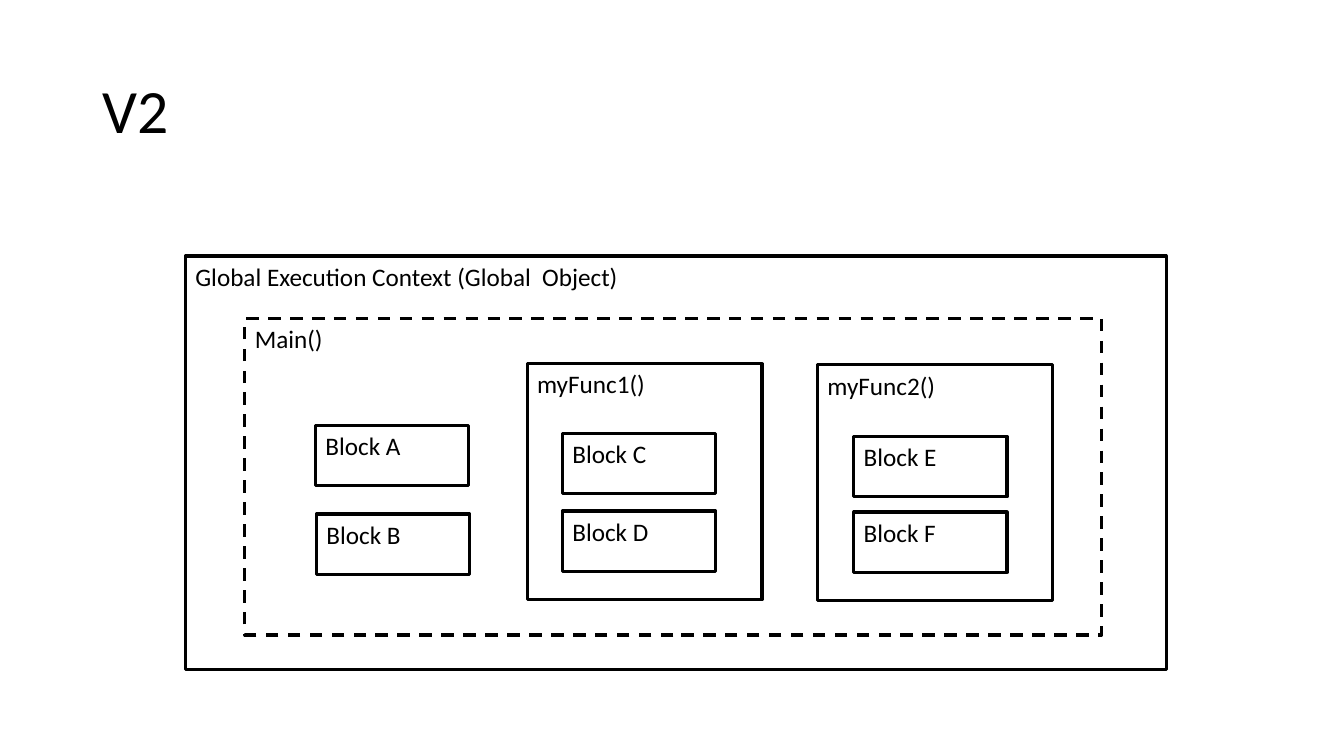
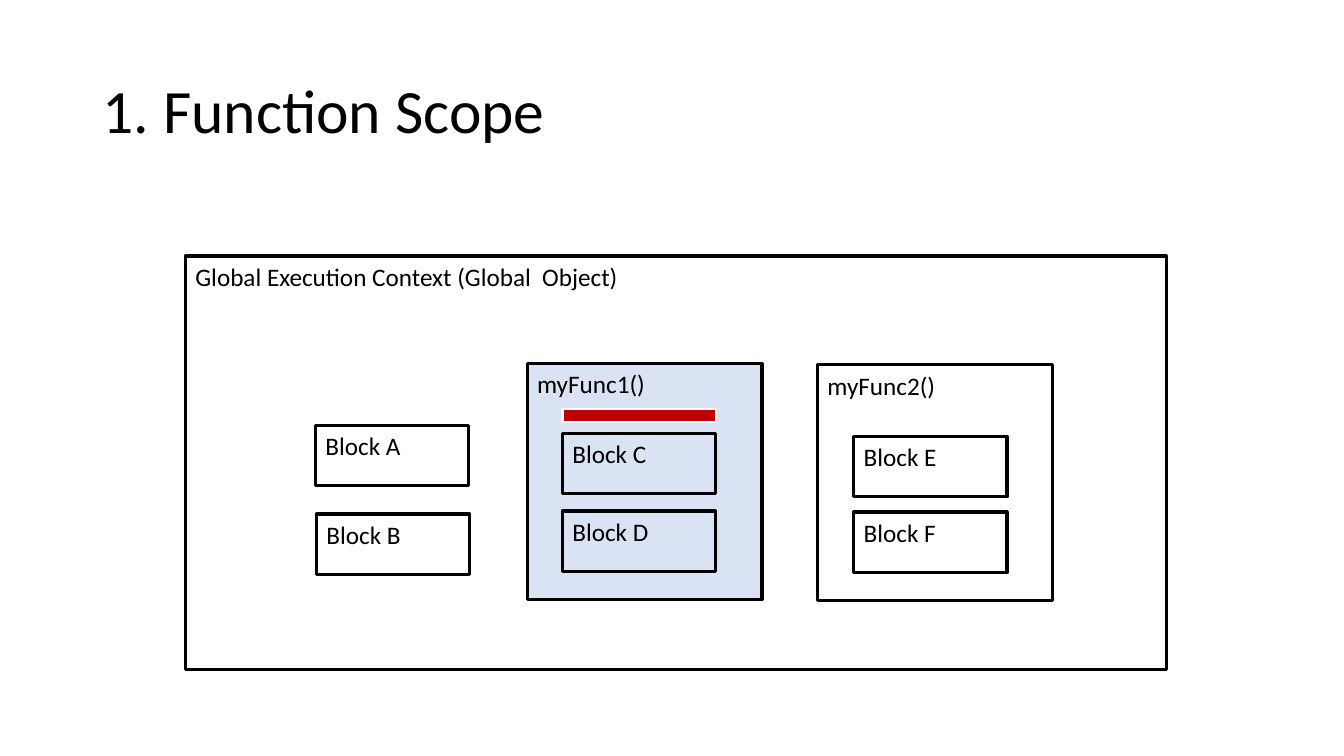
import pptx
import pptx.util
import pptx.dml.color
import pptx.enum.dml
import pptx.enum.shapes
import pptx.enum.text

Pt = pptx.util.Pt
COLORS = {"ink": "000000", "paper": "FFFFFF", "highlight": "DAE3F3", "marker": "C00000"}
BLOCK_SIZE = (109.44, 43.2)
FUNCTION_SIZE = (167.76, 168.48)


def color(name):
    return pptx.dml.color.RGBColor.from_string(COLORS[name])


class ScopeDeck:
    """Shared style and the slide being drawn."""

    font = "Calibri"

    def __init__(self):
        self.deck = pptx.Presentation()
        self.deck.slide_width, self.deck.slide_height = Pt(960), Pt(540)
        self.page = None

    def new_page(self):
        self.page = self.deck.slides.add_slide(self.deck.slide_layouts[6])

    def add_text(self, frame, text, size):
        frame.word_wrap = True
        para = frame.paragraphs[0]
        para.alignment = pptx.enum.text.PP_ALIGN.LEFT
        span = para.add_run()
        span.text = text
        span.font.name, span.font.size = self.font, Pt(size)
        span.font.color.rgb = color("ink")
        return para

    def title(self, text):
        box = self.page.shapes.add_textbox(Pt(66.24), Pt(28.8), Pt(828), Pt(104.4))
        box.text_frame.vertical_anchor = pptx.enum.text.MSO_ANCHOR.MIDDLE
        self.add_text(box.text_frame, text, 44).line_spacing = 0.9

    def rectangle(self, position, size, fill="paper", line="ink", weight=2.25, shapes=None):
        shapes = self.page.shapes if shapes is None else shapes
        box = shapes.add_shape(pptx.enum.shapes.MSO_SHAPE.RECTANGLE,
                               *(Pt(length) for length in (*position, *size)))
        box.shadow.inherit = False
        box.fill.solid()
        box.fill.fore_color.rgb = color(fill)
        box.line.color.rgb = color(line)
        box.line.width = Pt(weight)
        return box

    def scope(self, label, position, size=BLOCK_SIZE, fill="paper", dashed=False, shapes=None):
        box = self.rectangle(position, size, fill, shapes=shapes)
        if dashed:
            box.line.dash_style = pptx.enum.dml.MSO_LINE.DASH
        box.text_frame.vertical_anchor = pptx.enum.text.MSO_ANCHOR.TOP
        self.add_text(box.text_frame, label, 18)

    def function(self, label, position, blocks, fill="paper"):
        shapes = self.page.shapes.add_group_shape().shapes
        self.scope(label, position, FUNCTION_SIZE, fill, shapes=shapes)
        for block, place in blocks.items():
            self.scope(block, place, fill=fill, shapes=shapes)

    def diagram(self, title, with_main=False, first_fill="paper"):
        self.new_page()
        # Enclosing scopes
        self.scope("Global Execution Context (Global  Object)",
                   (132.48, 182.88), (700.56, 295.2))
        if with_main:
            self.scope("Main()", (174.96, 227.52), (612, 226.08), dashed=True)
        # Functions with their blocks
        self.function("myFunc1()", (376.56, 259.92),
                      {"Block C": (401.76, 309.6), "Block D": (401.76, 365.04)}, first_fill)
        self.function("myFunc2()", (583.92, 260.64),
                      {"Block E": (609.84, 311.76), "Block F": (609.84, 365.76)})
        # Free-standing blocks
        self.scope("Block A", (225.36, 303.84))
        self.scope("Block B", (226.08, 367.2))
        self.title(title)


scopes = ScopeDeck()

# Slide 1: all scopes
scopes.diagram("V2", with_main=True)

# Slide 2: function scope, with a marker above Block C
scopes.diagram("1. Function Scope", first_fill="highlight")
scopes.rectangle((401.76, 292.32), (BLOCK_SIZE[0], 9.36), "marker", "paper", 1.5)

scopes.deck.save("out.pptx")
